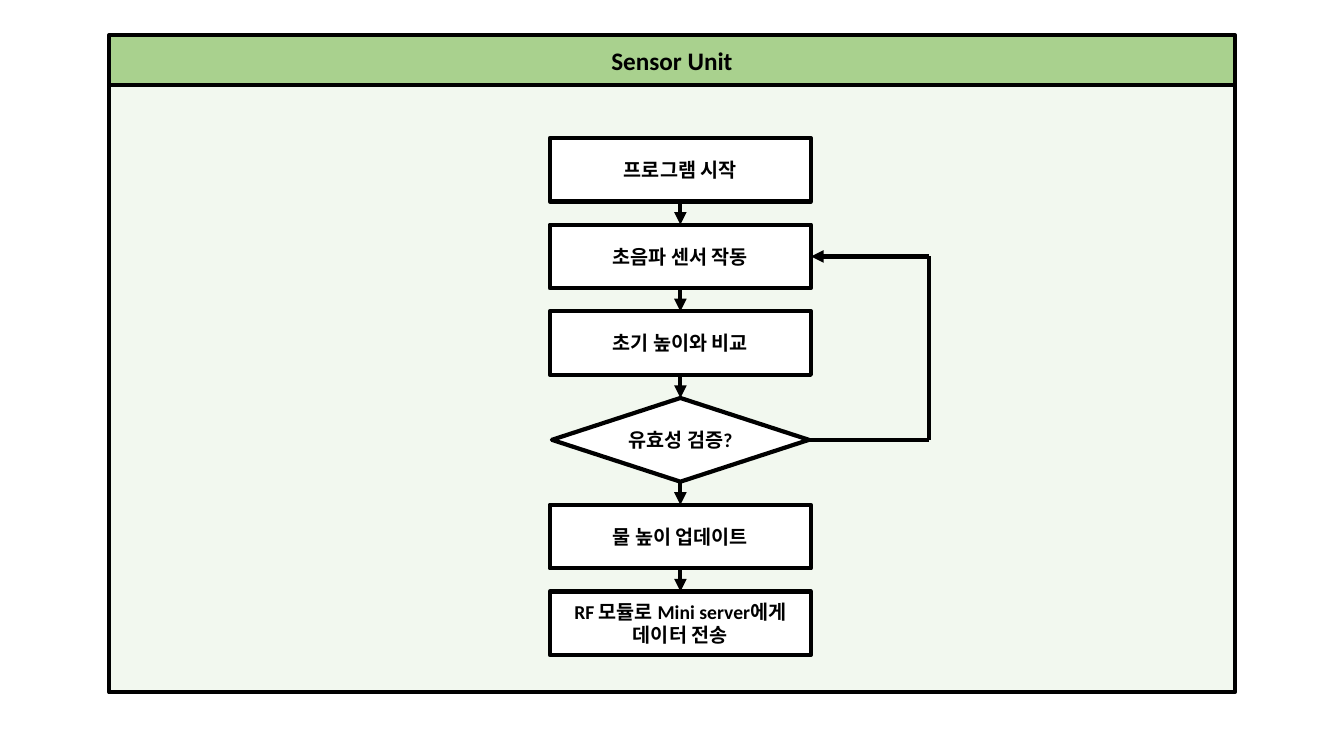
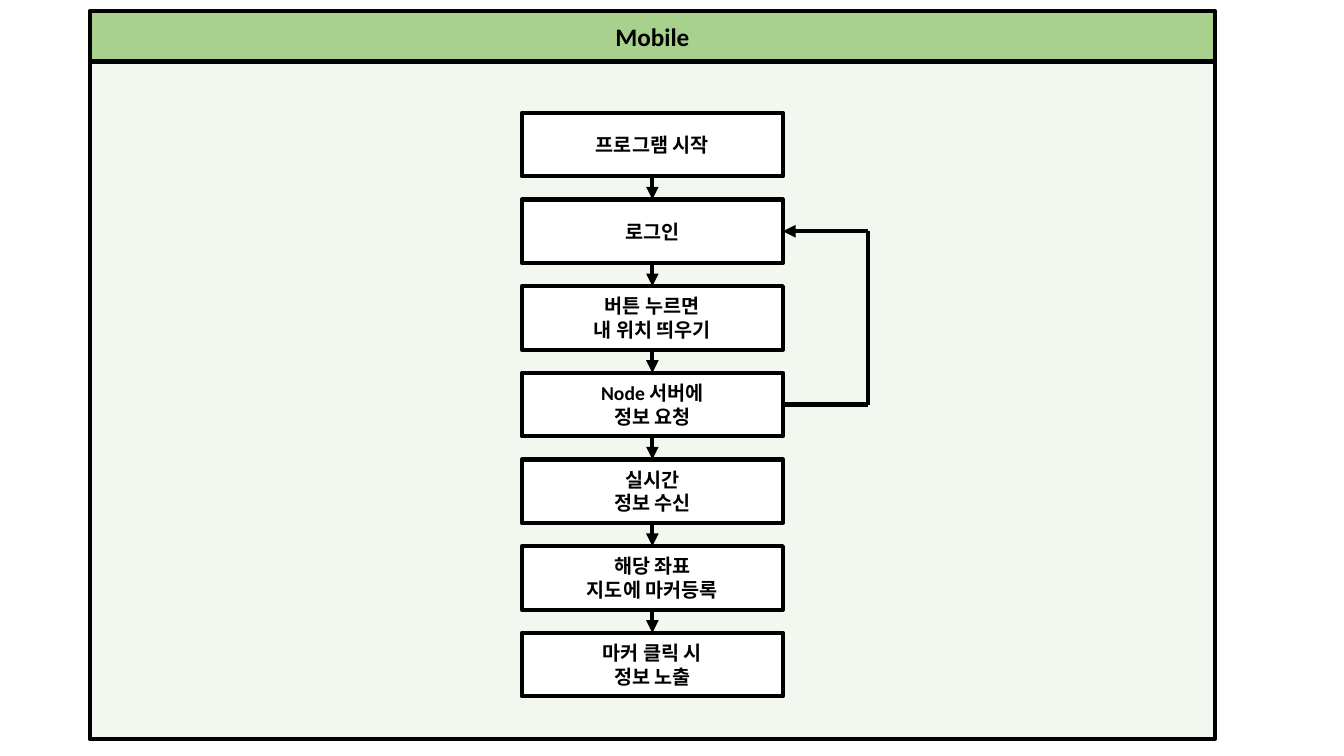
from lxml import etree
from pptx import Presentation
from pptx.dml.color import RGBColor
from pptx.enum.shapes import MSO_CONNECTOR, MSO_SHAPE
from pptx.enum.text import MSO_ANCHOR, MSO_AUTO_SIZE, PP_ALIGN
from pptx.oxml.ns import qn
from pptx.util import Pt

RECTANGLE, DIAMOND = MSO_SHAPE.RECTANGLE, MSO_SHAPE.DIAMOND
STRAIGHT = MSO_CONNECTOR.STRAIGHT
CENTER, MIDDLE = PP_ALIGN.CENTER, MSO_ANCHOR.MIDDLE
NO_AUTOFIT = MSO_AUTO_SIZE.NONE
TOP, BOTTOM, RIGHT = 0, 2, 3

COLORS = {"ink": "000000", "band": "A9D18E", "panel": "E2F0D9", "step": "FFFFFF"}
FONT = "Calibri"
LINE_WIDTH = 3
FRAME_WIDTH, BAND_HEIGHT = 804, 36
STEP_WIDTH, STEP_HEIGHT, STEP_GAP = 186.5, 45.4, 16.5
DIAMOND_WIDTH, DIAMOND_HEIGHT = 183.6, 59.8

FLOWS = [
    {
        "title": "Sensor Unit",
        "frame": (78, 25, 494.6),  # left, top, bottom
        "center": 486,
        "first_top": 98.6,
        "loop": (3, 1, 663.8),  # from step, to step, x of the detour
        "decision": 3,
        "steps": [
            "프로그램 시작",
            "초음파 센서 작동",
            "초기 높이와 비교",
            "유효성 검증?",
            "물 높이 업데이트",
            "RF 모듈로 Mini server에게\n데이터 전송",
        ],
    },
    {
        "title": "Mobile",
        "frame": (64, 8, 527.8),
        "center": 466,
        "first_top": 80.6,
        "loop": (3, 1, 620),
        "decision": None,
        "steps": [
            "프로그램 시작",
            "로그인",
            "버튼 누르면\n내 위치 띄우기",
            "Node 서버에\n정보 요청",
            "실시간\n정보 수신",
            "해당 좌표\n지도에 마커등록",
            "마커 클릭 시\n정보 노출",
        ],
    },
]


def format_box(box, text="", fill="step", size=14):
    box.fill.solid()
    box.fill.fore_color.rgb = RGBColor.from_string(COLORS[fill])
    box.line.color.rgb = RGBColor.from_string(COLORS["ink"])
    box.line.width = Pt(LINE_WIDTH)
    frame = box.text_frame
    frame.text = text
    frame.word_wrap = True
    frame.auto_size = NO_AUTOFIT
    frame.vertical_anchor = MIDDLE
    for para in frame.paragraphs:
        para.alignment = CENTER
        para.font.name = FONT
        para.font.size = Pt(size)
        para.font.bold = True
        para.font.color.rgb = RGBColor.from_string(COLORS["ink"])


def add_line(slide, start, end, arrow=False):
    """Draw a straight line; each end is a point or a (shape, side) pair."""
    loose = [(0, 0) if hasattr(point[0], "shape_id") else point for point in (start, end)]
    line = slide.shapes.add_connector(STRAIGHT, *loose[0], *loose[1])
    if loose[0] != start:
        line.begin_connect(*start)
    if loose[1] != end:
        line.end_connect(*end)
    line.line.color.rgb = RGBColor.from_string(COLORS["ink"])
    line.line.width = Pt(LINE_WIDTH)
    if arrow:
        etree.SubElement(line.line._get_or_add_ln(), qn("a:tailEnd"), type="triangle")
    etree.SubElement(line._element.spPr, qn("a:effectLst"))


deck = Presentation()
deck.slide_width, deck.slide_height = Pt(960), Pt(540)
title_only = deck.slide_layouts[5]

for flow in FLOWS:
    slide = deck.slides.add_slide(title_only)
    left, top, bottom = flow["frame"]

    band = slide.shapes.title
    band.left, band.top = Pt(left), Pt(top)
    band.width, band.height = Pt(FRAME_WIDTH), Pt(BAND_HEIGHT)
    format_box(band, flow["title"], fill="band", size=18)

    panel_top = top + BAND_HEIGHT
    panel = slide.shapes.add_shape(
        RECTANGLE, Pt(left), Pt(panel_top), Pt(FRAME_WIDTH), Pt(bottom - panel_top))
    panel.shadow.inherit = False
    format_box(panel, fill="panel")
    panel_color = panel._element.spPr.find(qn("a:solidFill"))[0]
    etree.SubElement(panel_color, qn("a:alpha"), val="42000")

    steps = []
    step_top = flow["first_top"]
    for index, text in enumerate(flow["steps"]):
        kind, width, height = RECTANGLE, STEP_WIDTH, STEP_HEIGHT
        if index == flow["decision"]:
            kind, width, height = DIAMOND, DIAMOND_WIDTH, DIAMOND_HEIGHT
        step = slide.shapes.add_shape(
            kind, Pt(flow["center"] - width / 2), Pt(step_top), Pt(width), Pt(height))
        step.shadow.inherit = False
        format_box(step, text)
        steps.append(step)
        step_top += height + STEP_GAP

    for upper, lower in zip(steps, steps[1:]):
        add_line(slide, (upper, BOTTOM), (lower, TOP), arrow=True)

    source_index, target_index, detour = flow["loop"]
    source, target = steps[source_index], steps[target_index]
    low_corner = (Pt(detour), source.top + source.height // 2)
    high_corner = (Pt(detour), target.top + target.height // 2)
    add_line(slide, (source, RIGHT), low_corner)
    add_line(slide, low_corner, high_corner)
    add_line(slide, high_corner, (target, RIGHT), arrow=True)

deck.save("out.pptx")
